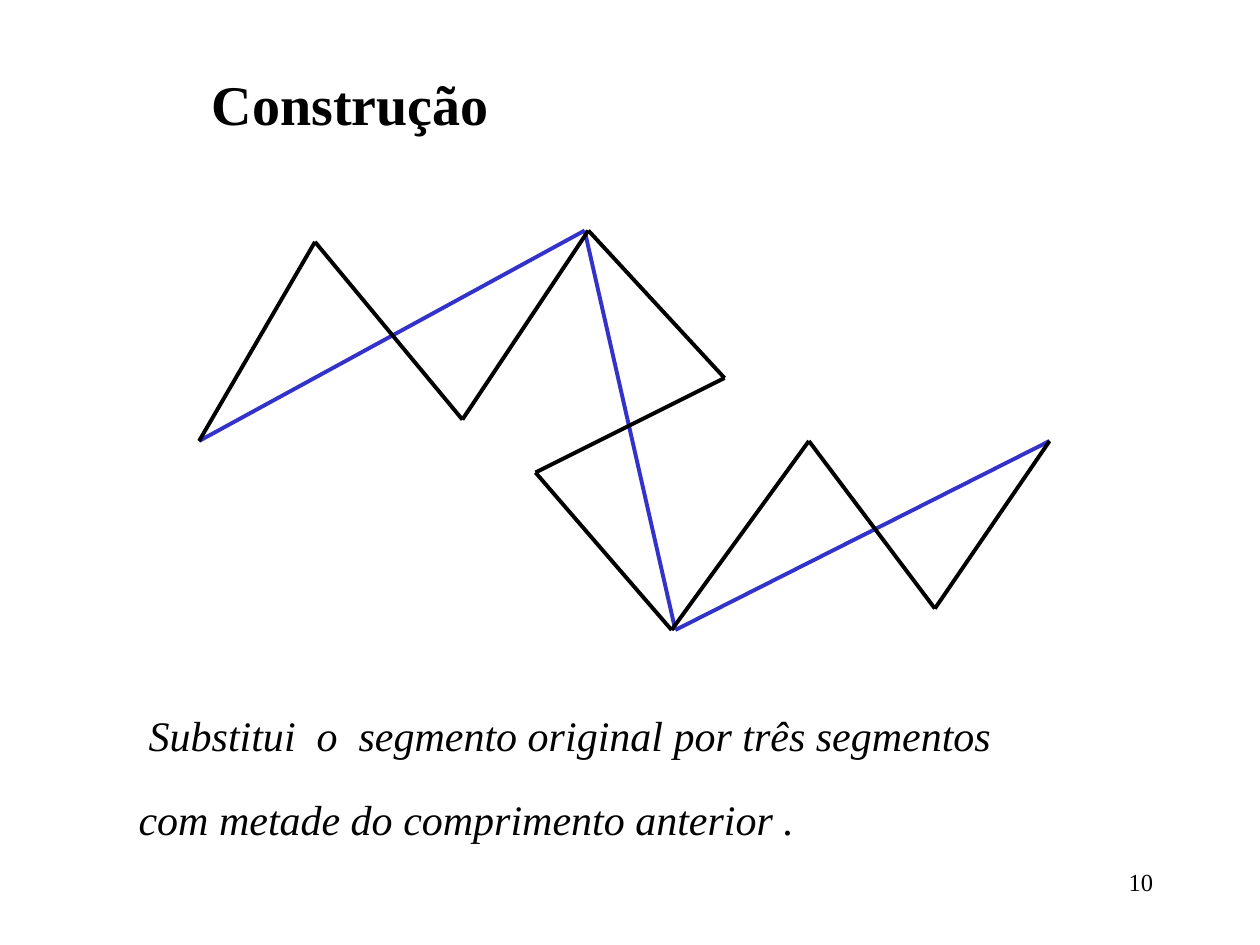
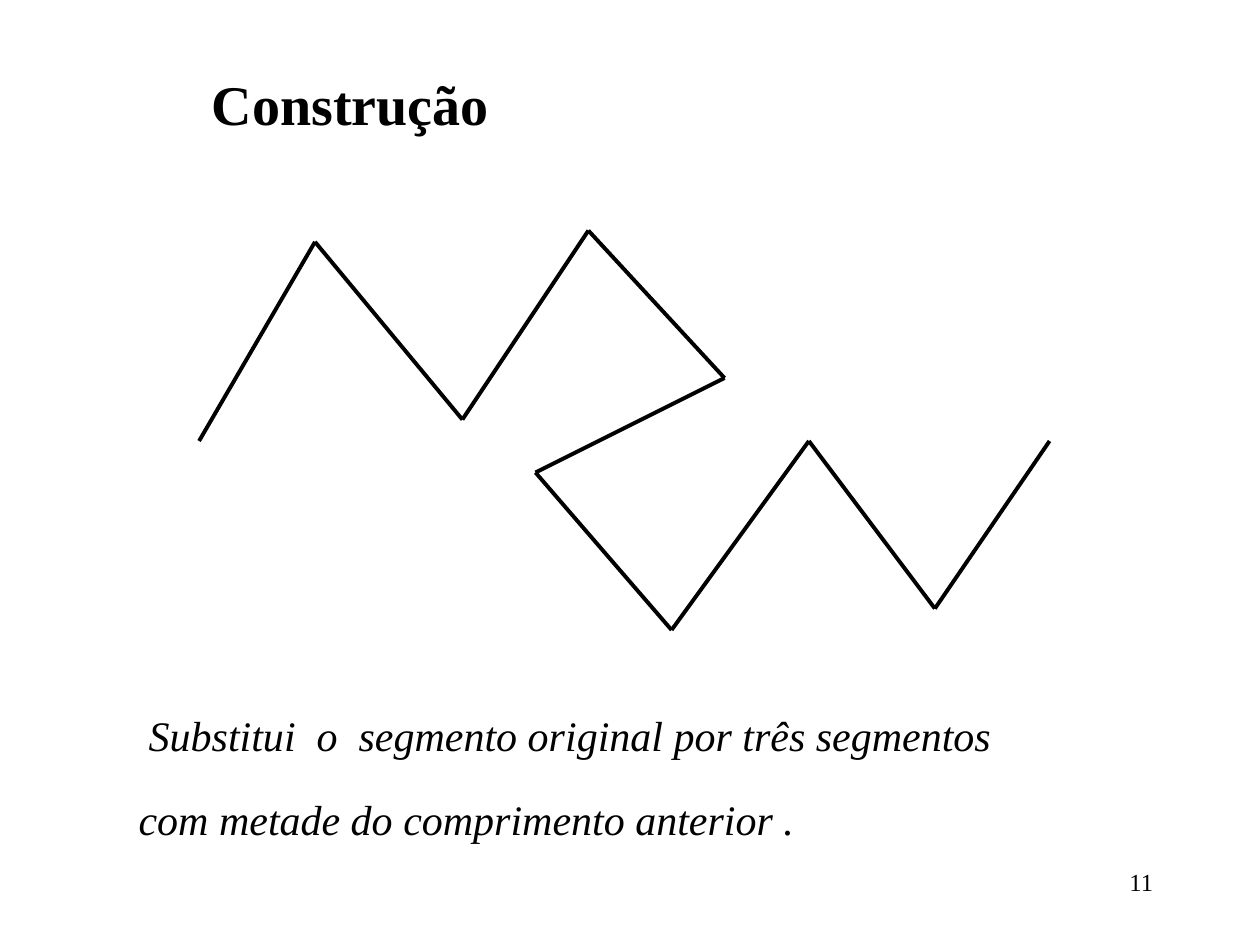
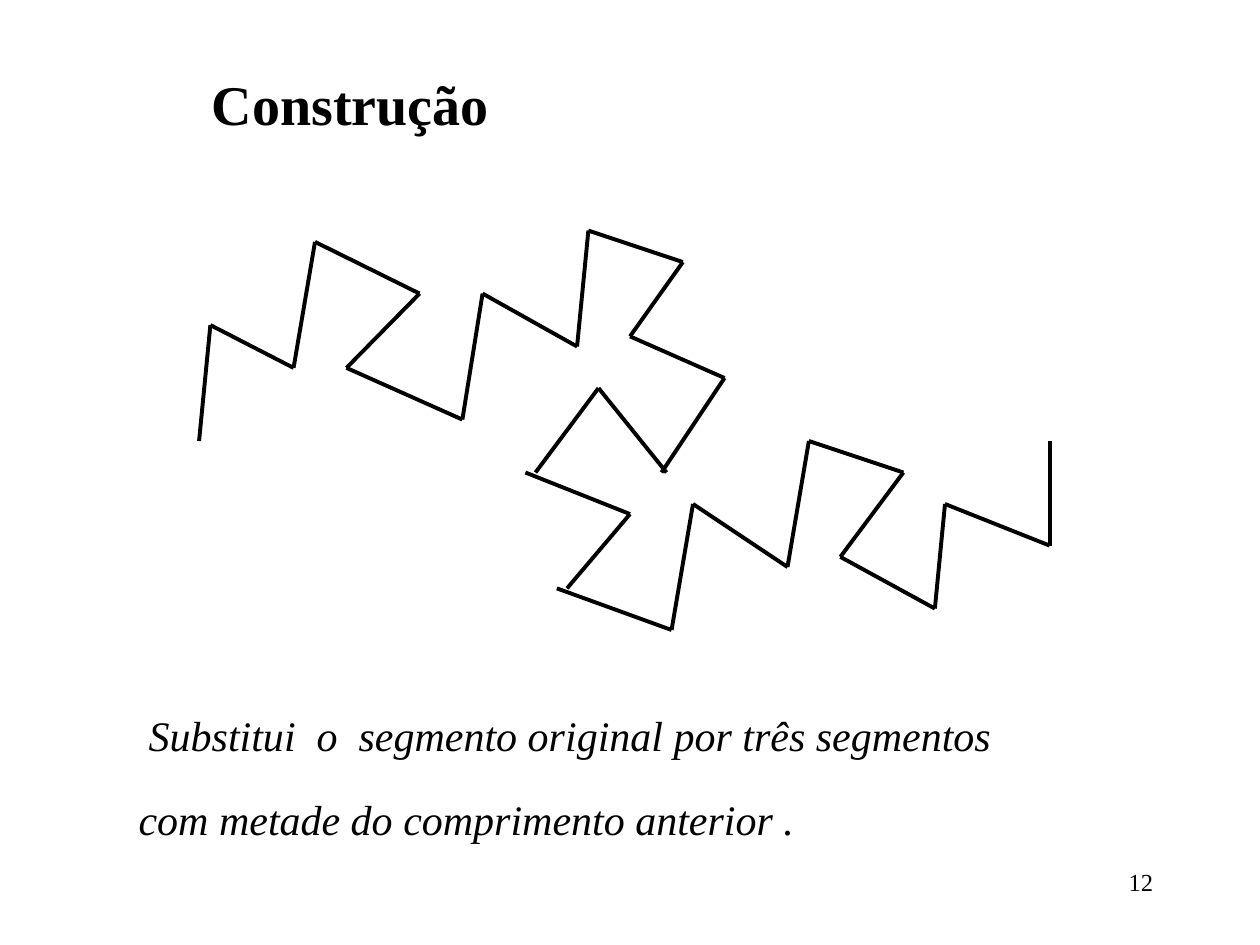
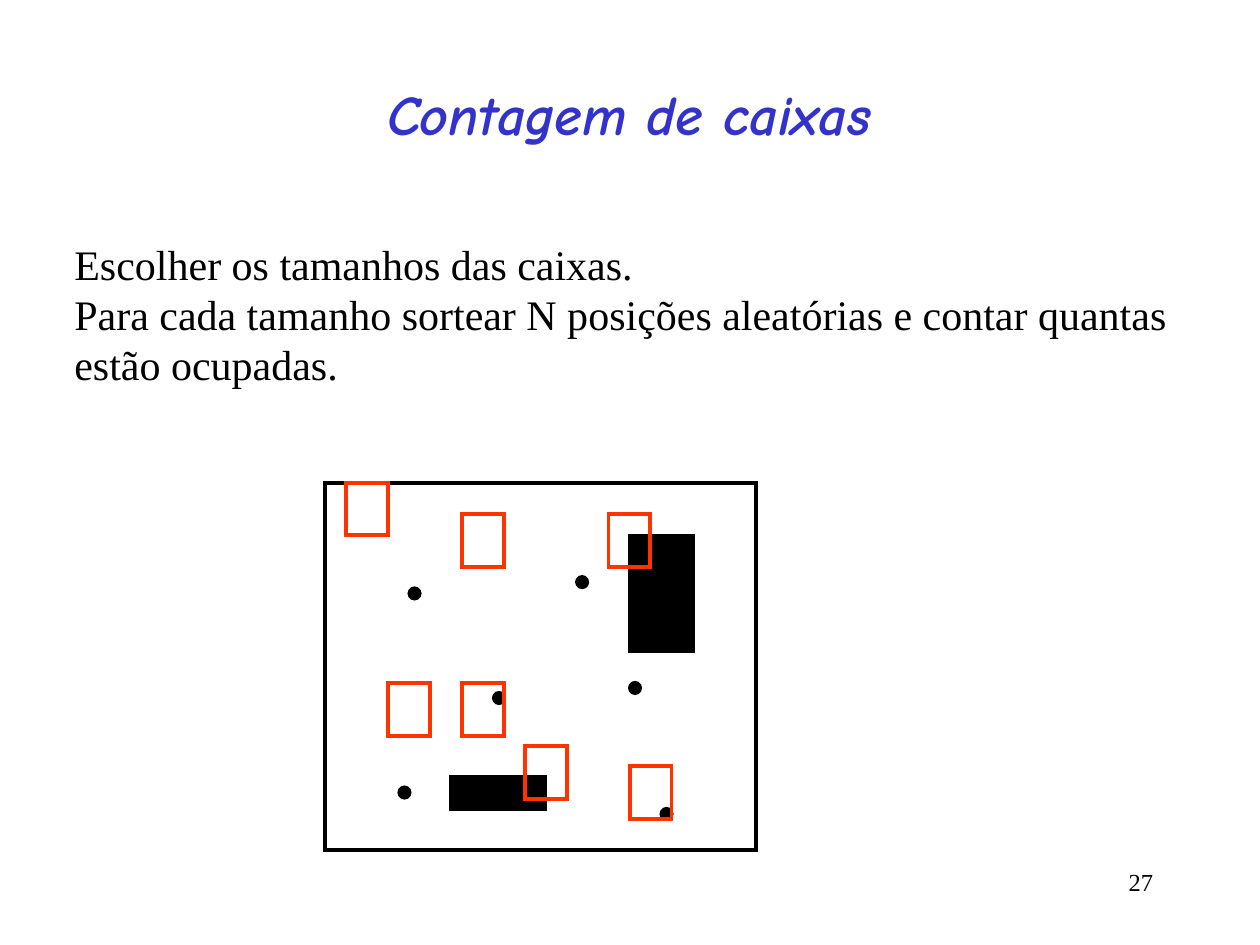
"""Build four slides on the construction of a fractal curve and on box counting."""
from dataclasses import dataclass
from itertools import pairwise

from lxml import etree
from pptx import Presentation
from pptx.dml.color import RGBColor
from pptx.enum.shapes import MSO_CONNECTOR, MSO_SHAPE
from pptx.enum.text import MSO_ANCHOR, MSO_AUTO_SIZE, PP_ALIGN
from pptx.oxml.ns import qn
from pptx.util import Inches, Pt

STRAIGHT = MSO_CONNECTOR.STRAIGHT
RECTANGLE, OVAL = MSO_SHAPE.RECTANGLE, MSO_SHAPE.OVAL
TOP = MSO_ANCHOR.TOP
NO_AUTOFIT = MSO_AUTO_SIZE.NONE
LEFT, CENTER, RIGHT = PP_ALIGN.LEFT, PP_ALIGN.CENTER, PP_ALIGN.RIGHT


@dataclass(frozen=True)
class Theme:
    black: RGBColor = RGBColor(0x00, 0x00, 0x00)
    blue: RGBColor = RGBColor(0x33, 0x33, 0xCC)
    red: RGBColor = RGBColor(0xFF, 0x33, 0x00)
    serif: str = "Times New Roman"
    comic: str = "Comic Neue"
    title_size: int = 32
    body_size: int = 24
    number_size: int = 14
    stroke: float = 2.25


theme = Theme()


def write(holder, box, paragraphs, size, font=theme.serif, color=theme.black,
          bold=False, italic=False, align=LEFT, spacing=1.0, indent=0, wrap=True):
    holder.left, holder.top, holder.width, holder.height = map(Inches, box)
    frame = holder.text_frame
    frame.auto_size = NO_AUTOFIT
    frame.word_wrap = wrap
    frame.vertical_anchor = TOP
    for index, text in enumerate(paragraphs):
        paragraph = frame.add_paragraph() if index else frame.paragraphs[0]
        paragraph.alignment = align
        paragraph.line_spacing = spacing
        paragraph.space_before = Pt(0)
        properties = paragraph._p.get_or_add_pPr()
        properties.set("marL", "0")
        properties.set("indent", str(Inches(indent)))
        etree.SubElement(properties, qn("a:buNone"))
        run = paragraph.add_run()
        run.text = text
        run.font.name = font
        run.font.size = Pt(size)
        run.font.bold = bold
        run.font.italic = italic
        run.font.color.rgb = color


def draw(slide, kind, box, line, fill=None):
    shape = slide.shapes.add_shape(kind, *map(Inches, box))
    shape.shadow.inherit = False
    shape.line.color.rgb = line
    shape.line.width = Pt(theme.stroke)
    outline = shape._element.spPr.find(qn("a:ln"))
    etree.SubElement(outline, qn("a:miter"), lim="800000")
    if fill is None:
        shape.fill.background()
    else:
        shape.fill.solid()
        shape.fill.fore_color.rgb = fill


segments = [(1.58, 3.5), (4.64, 1.83), (5.36, 5), (8.33, 3.5)]
first_curve = [
    (1.58, 3.5), (2.5, 1.92), (3.67, 3.33), (4.67, 1.83), (5.75, 3),
    (4.25, 3.75), (5.33, 5), (6.42, 3.5), (7.42, 4.83), (8.33, 3.5),
]
second_curve = [
    [(1.58, 3.5), (1.67, 2.58), (2.33, 2.92), (2.5, 1.92), (3.33, 2.33),
     (2.75, 2.92), (3.67, 3.33), (3.83, 2.33), (4.58, 2.75), (4.67, 1.83),
     (5.42, 2.08), (5, 2.67), (5.75, 3), (5.25, 3.75)],
    [(5.29, 3.75), (4.75, 3.08), (4.25, 3.75)],
    [(4.17, 3.75), (5, 4.08), (4.5, 4.67)],
    [(4.42, 4.67), (5.33, 5), (5.5, 4), (6.25, 4.5), (6.42, 3.5), (7.17, 3.75),
     (6.67, 4.42), (7.42, 4.83), (7.5, 4), (8.33, 4.33), (8.33, 3.5)],
]
stages = {
    10: [(segments, theme.blue), (first_curve, theme.black)],
    11: [(first_curve, theme.black)],
    12: [(piece, theme.black) for piece in second_curve],
}
caption = "Substitui  o  segmento original por três segmentos com metade do comprimento anterior ."

prs = Presentation()
prs.slide_width, prs.slide_height = Inches(10), Inches(7.5)
title_and_body = prs.slide_layouts[1]

for number, curves in stages.items():
    slide = prs.slides.add_slide(title_and_body)
    write(slide.placeholders[1], (1, 5.32, 7.33, 1.95), [caption], theme.body_size,
          italic=True, spacing=1.66, indent=0.08)
    write(slide.shapes.title, (1.58, 0.5, 3.08, 0.64), ["Construção"],
          theme.title_size, bold=True)
    for points, color in curves:
        for (x1, y1), (x2, y2) in pairwise(points):
            edge = slide.shapes.add_connector(
                STRAIGHT, Inches(x1), Inches(y1), Inches(x2), Inches(y2))
            edge.line.color.rgb = color
            edge.line.width = Pt(theme.stroke)
            etree.SubElement(edge._element.spPr, qn("a:effectLst"))

counting = prs.slides.add_slide(title_and_body)
write(counting.shapes.title, (2.97, 0.58, 4.05, 0.64), ["Contagem de caixas"],
      theme.title_size, theme.comic, theme.blue, bold=True, italic=True,
      align=CENTER, wrap=False)
write(counting.placeholders[1], (0.49, 1.84, 9.01, 1.3), [
    "Escolher os tamanhos das caixas.",
    "Para cada tamanho sortear N posições aleatórias e contar quantas estão ocupadas.",
], theme.body_size)

draw(counting, RECTANGLE, (2.58, 3.83, 3.42, 2.92), theme.black)
for x, y in [(3.17, 6.25), (3.25, 4.67), (4.58, 4.58), (3.92, 5.5), (5.25, 6.42), (5, 5.42)]:
    draw(counting, OVAL, (x, y, 0.08, 0.08), theme.black, theme.black)
for block in [(5, 4.25, 0.5, 0.92), (3.58, 6.17, 0.75, 0.25)]:
    draw(counting, RECTANGLE, block, theme.black, theme.black)
for x, y in [(2.75, 3.83), (4.17, 5.92), (4.83, 4.08), (3.67, 5.42),
             (3.67, 4.08), (3.08, 5.42), (5, 6.08)]:
    draw(counting, RECTANGLE, (x, y, 0.33, 0.42), theme.red)

for slide, number in zip(prs.slides, [*stages, 27]):
    page_number = slide.shapes.add_textbox(0, 0, 0, 0)
    write(page_number, (7.17, 6.83, 2.08, 0.5), [str(number)], theme.number_size, align=RIGHT)

prs.save("out.pptx")
